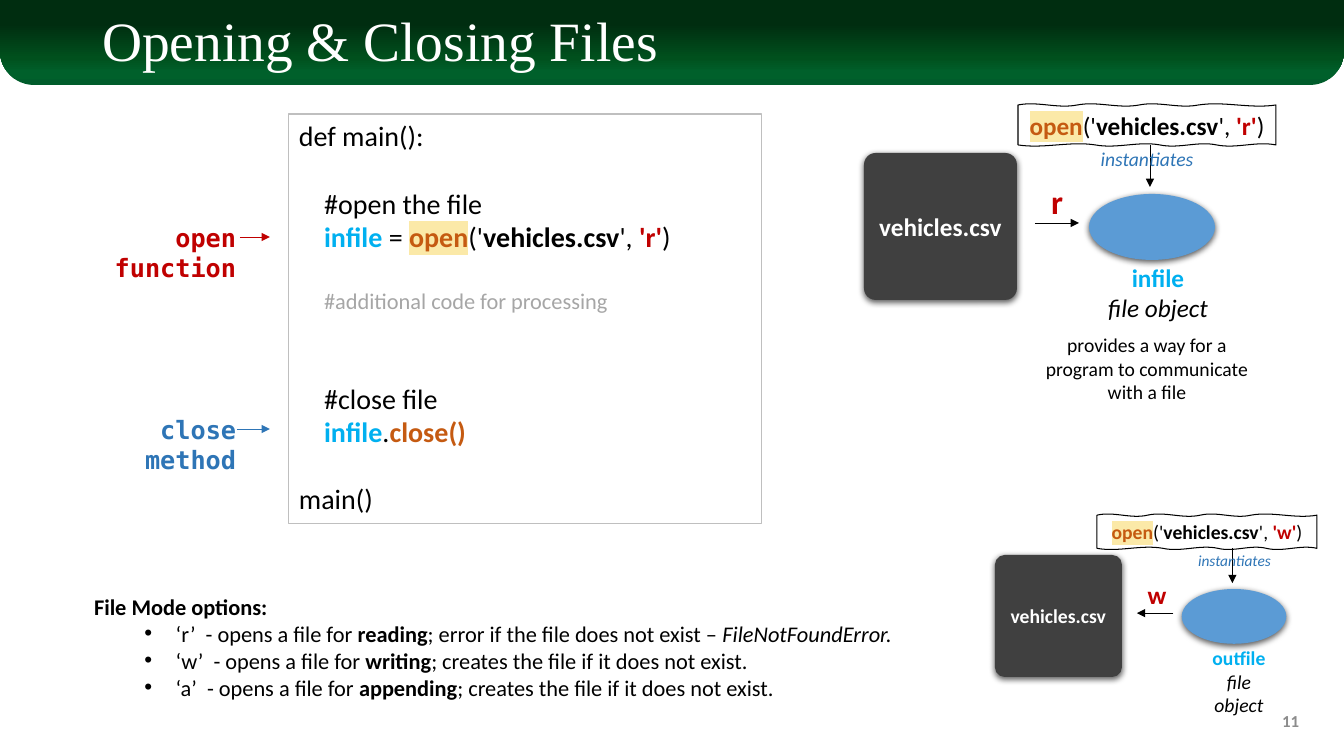
from lxml import etree
from pptx import Presentation
from pptx import util as u
from pptx.dml import color
from pptx.enum import shapes, text
from pptx.oxml import ns

EMU_PER_PX = 914400 / 100.8
SHAPE = shapes.MSO_SHAPE
ALIGN = text.PP_ALIGN
BLACK, WHITE, RED, BLUE = "000000", "FFFFFF", "C00000", "2E75B6"
CYAN, ORANGE, CARD, DISC = "00B0F0", "C55A11", "404040", "5B9BD5"
GRAY, NUMBER_GRAY, FRAME, MARKER = "A6A6A6", "8C8C8C", "BFBFBF", "FBE9A8"
CODE_LINE = 24  # height in points of one line of code


def px(*lengths):
    return [u.Emu(round(length * EMU_PER_PX)) for length in lengths]


def rgb(hex_color):
    return color.RGBColor.from_string(hex_color)


def add_xml(parent, tag, **attributes):
    return etree.SubElement(parent, ns.qn(tag), attributes)


def write(frame, paragraphs, size, align=ALIGN.LEFT, font="Calibri",
          wrap=True, anchor=text.MSO_ANCHOR.TOP):
    """Fill a frame; a run is (text, colour, flags): b bold, i italic, h highlight."""
    frame.word_wrap = wrap
    frame.vertical_anchor = anchor
    frame.auto_size = text.MSO_AUTO_SIZE.NONE
    for index, pieces in enumerate(paragraphs):
        paragraph = frame.paragraphs[0] if index == 0 else frame.add_paragraph()
        paragraph.alignment = align
        paragraph.space_before = u.Pt(0)
        for words, hex_color, flags in pieces:
            run = paragraph.add_run()
            run.text = words
            run.font.size = u.Pt(size)
            run.font.name = font
            run.font.bold = "b" in flags
            run.font.italic = "i" in flags
            run.font.color.rgb = rgb(hex_color)
            if "h" in flags:
                highlight = etree.Element(ns.qn("a:highlight"))
                add_xml(highlight, "a:srgbClr", val=MARKER)
                run.font._element.find(ns.qn("a:solidFill")).addnext(highlight)


def add_label(slide, box, paragraphs, size, **style):
    label = slide.shapes.add_textbox(*px(*box))
    write(label.text_frame, paragraphs, size, **style)


def add_panel(slide, kind, box, fill=None, shadow=False):
    panel = slide.shapes.add_shape(kind, *px(*box))
    panel.shadow.inherit = False
    panel.line.fill.background()
    if fill:
        panel.fill.solid()
        panel.fill.fore_color.rgb = rgb(fill)
    else:
        panel.fill.background()
    if shadow:
        effects = panel._element.spPr.find(ns.qn("a:effectLst"))
        outer = add_xml(effects, "a:outerShdw", blurRad="57150", dist="19050",
                        dir="5400000", algn="ctr", rotWithShape="0")
        add_xml(add_xml(outer, "a:srgbClr", val=BLACK), "a:alpha", val="63000")
    return panel


def add_arrow(slide, start, end, hex_color):
    arrow = slide.shapes.add_connector(shapes.MSO_CONNECTOR.STRAIGHT, *px(*start, *end))
    arrow.line.color.rgb = rgb(hex_color)
    arrow.line.width = u.Pt(0.5)
    add_xml(arrow.line._get_or_add_ln(), "a:tailEnd", type="triangle")
    add_xml(arrow._element.spPr, "a:effectLst")


def open_call(mode):
    return [("open", ORANGE, "bh"), ("('", BLACK, ""), ("vehicles.csv", BLACK, "b"),
            ("', ", BLACK, ""), (f"'{mode}'", RED, "b"), (")", BLACK, "")]


def add_header(slide, box):
    left, top, width, height = box
    # Green band, placed behind the title
    band = add_panel(slide, SHAPE.ROUND_2_SAME_RECTANGLE, box)
    band.adjustments[0], band.adjustments[1] = 0, 0.4
    band.fill.gradient()
    band.fill.gradient_angle = 90
    stops = band._element.spPr.find(ns.qn("a:gradFill")).find(ns.qn("a:gsLst"))
    for stop in list(stops):
        stops.remove(stop)
    for percent, hex_color in ((0, "005C2B"), (15, "00602B"), (32, "00501D"), (72, "002D10")):
        stop = add_xml(stops, "a:gs", pos=str(percent * 1000))
        add_xml(stop, "a:srgbClr", val=hex_color)
    slide.shapes._spTree.insert(2, band._element)

    title = slide.shapes.title
    title.left, title.top, title.width, title.height = px(left + 92, top + 13, 1159, 61)
    write(title.text_frame, [[("Opening & Closing Files", WHITE, "")]], 39.6,
          font="Times New Roman", anchor=text.MSO_ANCHOR.MIDDLE)
    title.text_frame.paragraphs[0].line_spacing = 0.9


def add_code(slide, box):
    listing = add_panel(slide, SHAPE.RECTANGLE, box)
    listing.line.color.rgb = rgb(FRAME)
    listing.line.width = u.Pt(0.75)
    # Each line: runs, blank lines above, indented or not
    lines = [
        ([("def main():", BLACK, "")], 0, False),
        ([("#open the file", BLACK, "")], 1, True),
        ([("infile", CYAN, "b"), (" = ", BLACK, "")] + open_call("r"), 0, True),
        ([("#additional code for processing", GRAY, "")], 1, True),
        ([("#close file", BLACK, "")], 2, True),
        ([("infile", CYAN, "b"), (".", BLACK, ""), ("close()", ORANGE, "b")], 0, True),
        ([("main()", BLACK, "")], 1, False),
    ]
    write(listing.text_frame, [runs for runs, _, _ in lines], 20)
    for paragraph, (_, blanks, indented) in zip(listing.text_frame.paragraphs, lines):
        paragraph.space_before = u.Pt(blanks * CODE_LINE)
        if indented:
            paragraph._p.get_or_add_pPr().set("marL", str(u.Pt(18)))
    listing.text_frame.paragraphs[3].runs[0].font.size = u.Pt(16)


def add_callout(slide, box, words, hex_color, arrow_start):
    left, top, width, height = box
    add_arrow(slide, (arrow_start, top + 20), (270, top + 20), hex_color)
    add_label(slide, box, [[(words, hex_color, "b")]], 18, align=ALIGN.RIGHT,
              font="DejaVu Sans Mono")


def add_modes(slide, box):
    modes = slide.placeholders[1]
    modes.left, modes.top, modes.width, modes.height = px(*box)
    creates = "; creates the file if it does not exist."
    options = [
        ("r", "reading", [("; error if the file does not exist – ", BLACK, ""),
                          ("FileNotFoundError.", BLACK, "i")]),
        ("w", "writing", [(creates, BLACK, "")]),
        ("a", "appending", [(creates, BLACK, "")]),
    ]
    items = [[(f"‘{mode}’  - opens a file for ", BLACK, ""), (purpose, BLACK, "b")] + effect
             for mode, purpose, effect in options]
    write(modes.text_frame, [[("File Mode options:", BLACK, "b")]] + items, 16)
    for index, paragraph in enumerate(modes.text_frame.paragraphs):
        paragraph.level = min(index, 1)
        properties = paragraph._p.get_or_add_pPr()
        properties.set("marL", str(u.Inches(0.81) if index else 0))
        properties.set("indent", str(u.Inches(-0.31) if index else 0))
        if index:
            add_xml(properties, "a:buFont", typeface="Arial")
            add_xml(properties, "a:buChar", char="•")
        else:
            add_xml(properties, "a:buNone")


def add_wavy_call(slide, box, mode, size):
    left, top, width, height = box
    upper = [(width * part, 0) for part in (0, 0.23, 0.47, 0.7, 1)]
    lower = [(width * part, height) for part in (1, 0.77, 0.55, 0.3, 0)]
    corners = upper + lower + upper[:1]
    outline = [tuple(px(left + x, top + y)) for x, y in corners]
    builder = slide.shapes.build_freeform(*outline[0], scale=1.0)
    builder.add_line_segments(outline[1:], close=True)
    call = builder.convert_to_shape()
    # Bend each long edge: a little up, then down
    edges = list(call._element.iter(ns.qn("a:lnTo")))
    for edge, (x0, y0), (x1, y1) in zip(edges, corners, corners[1:]):
        bend = 4 if y0 == y1 else 0
        curve = etree.Element(ns.qn("a:cubicBezTo"))
        for x, y in ((x0 + (x1 - x0) / 3, y0 + (y1 - y0) / 3 - bend),
                     (x0 + (x1 - x0) * 2 / 3, y0 + (y1 - y0) * 2 / 3 + bend), (x1, y1)):
            across, down = px(x, y)
            add_xml(curve, "a:pt", x=str(across), y=str(down))
        edge.getparent().replace(edge, curve)
    call.shadow.inherit = False
    call.fill.background()
    call.line.color.rgb = rgb(BLACK)
    call.line.width = u.Pt(0.75)
    write(call.text_frame, [open_call(mode)], size, align=ALIGN.CENTER, wrap=False,
          anchor=text.MSO_ANCHOR.MIDDLE)


def add_file_diagram(slide, origin, scale, mode, variable, spans, sizes):
    """Card, arrow and file object; spans are (left, width) relative to the card."""
    left, top = origin
    body, letter, note = sizes

    def at(x, y):
        return left + x * scale, top + y * scale

    def box(x, y, width, height):
        return *at(x, y), width * scale, height * scale

    def span_box(part, y, height):
        start, width = spans[part]
        return left + start, top + y * scale, width, height * scale

    add_panel(slide, SHAPE.OVAL, box(225, 41, 126, 66), DISC, shadow=True)
    add_label(slide, span_box("variable", 104, 72),
              [[(variable, CYAN, "b")], [("file object", BLACK, "i")]], body,
              align=ALIGN.CENTER)
    add_wavy_call(slide, span_box("call", -48, 40), mode, body)
    add_arrow(slide, at(286, -8), at(286, 34), BLACK)
    # Reading flows out of the card, writing flows into it
    ends = [at(171, 70), at(215, 70)]
    add_arrow(slide, *(ends if mode == "r" else ends[::-1]), BLACK)
    card = add_panel(slide, SHAPE.ROUNDED_RECTANGLE, box(0, 0, 153, 147), CARD, shadow=True)
    card.adjustments[0] = 0.08
    write(card.text_frame, [[("vehicles.csv", WHITE, "b")]], body, align=ALIGN.CENTER,
          wrap=False, anchor=text.MSO_ANCHOR.MIDDLE)
    add_label(slide, span_box("mode", 23, 50), [[(mode, RED, "b")]], letter,
              align=ALIGN.CENTER, wrap=False)
    add_label(slide, span_box("note", -11, 34), [[("instantiates", BLUE, "i")]], note,
              align=ALIGN.CENTER, wrap=False)


def main():
    prs = Presentation()
    prs.slide_width, prs.slide_height = px(1344, 756)
    slide = prs.slides.add_slide(prs.slide_layouts[1])
    add_header(slide, (0, 0, 1344, 85))
    add_label(slide, (1007, 701, 302, 40), [[("11", NUMBER_GRAY, "b")]], 12,
              align=ALIGN.RIGHT, anchor=text.MSO_ANCHOR.MIDDLE)
    add_code(slide, (289, 114, 473, 410))
    add_callout(slide, (44, 217, 202, 40), "open function", RED, 240)
    add_callout(slide, (58, 409, 188, 40), "close method", BLUE, 237)
    add_modes(slide, (84, 588, 830, 119))
    reading = {"call": (154, 258), "variable": (230, 128), "mode": (176, 34), "note": (225, 116)}
    add_file_diagram(slide, (864, 153), 1, "r", "infile", reading, (18, 24, 14))
    add_label(slide, (1025, 328, 244, 82),
              [[("provides a way for a program to communicate with a file", BLACK, "")]], 14,
              align=ALIGN.CENTER)
    writing = {"call": (102, 220), "variable": (203, 82), "mode": (146, 32), "note": (185, 109)}
    add_file_diagram(slide, (995, 555), 0.83, "w", "outfile", writing, (14, 18, 11))
    prs.save("out.pptx")


if __name__ == "__main__":
    main()
